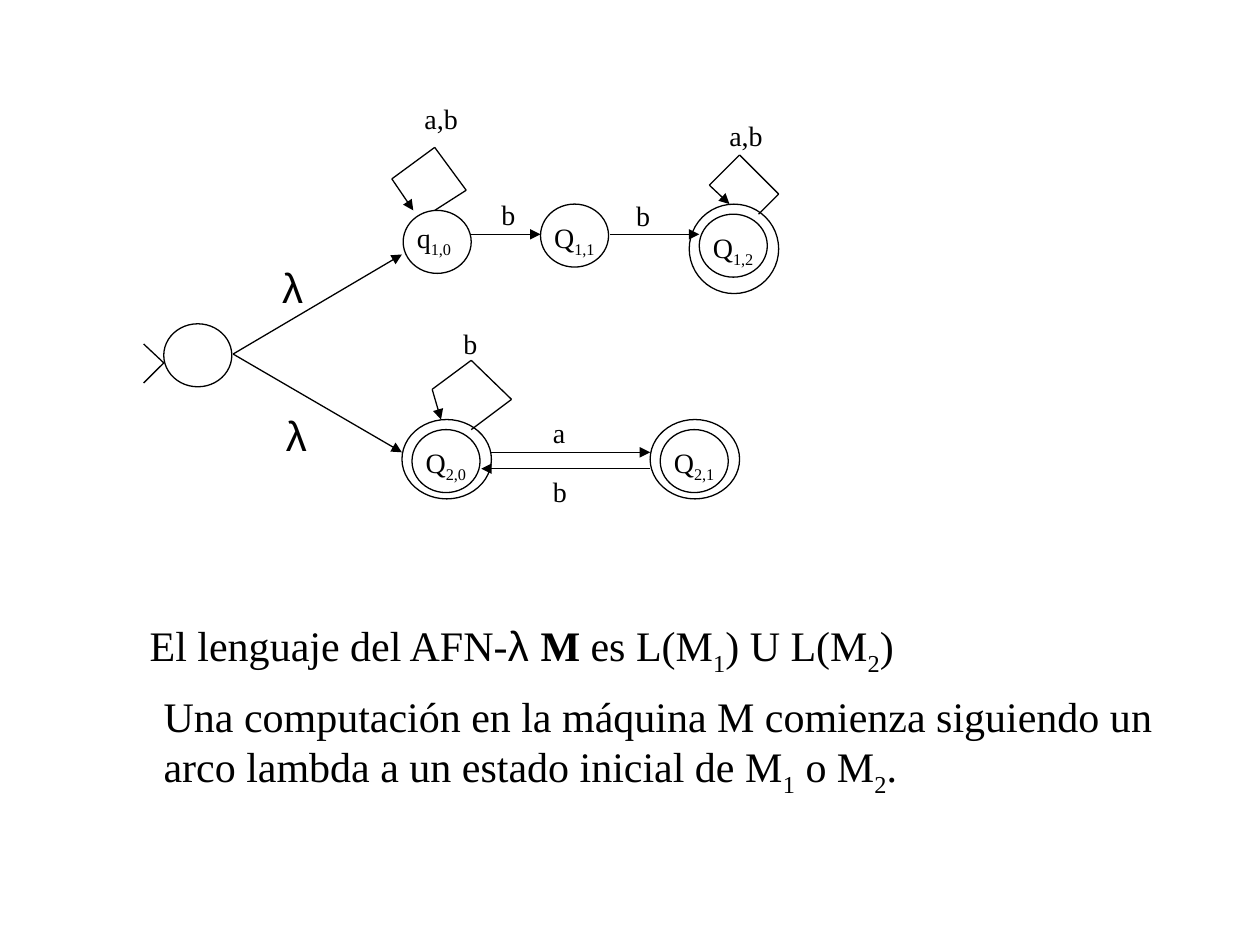
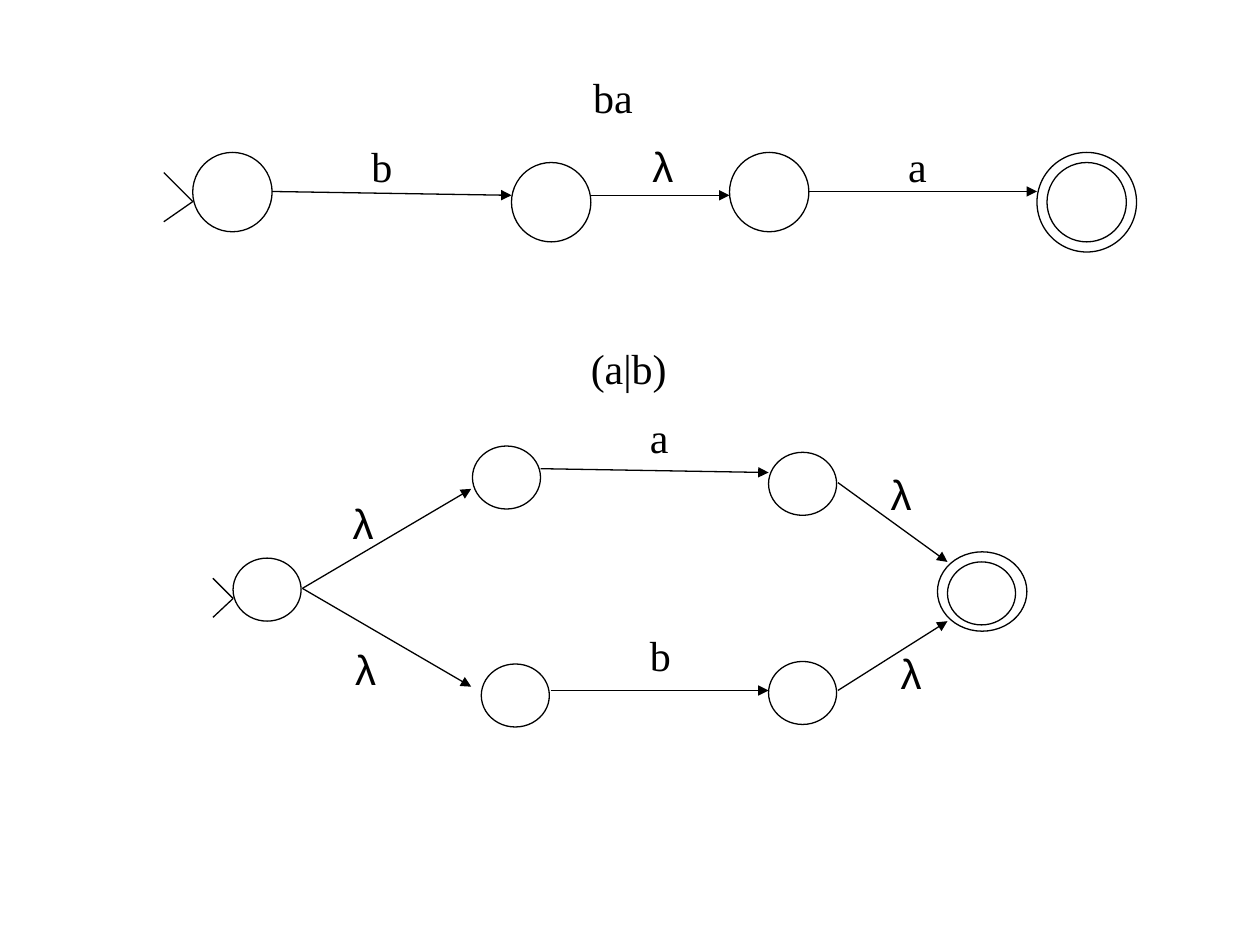
from dataclasses import dataclass
from typing import NamedTuple

from lxml import etree
from pptx import Presentation
from pptx.dml.color import RGBColor
from pptx.enum import shapes, text
from pptx.oxml.ns import qn
from pptx.slide import Slide
from pptx.util import Inches, Pt

INK = RGBColor(0x00, 0x00, 0x00)
SERIF = "Times New Roman"
SANS = "Arial"
LINE_WIDTH = Pt(0.75)
SMALL, LARGE = 16, 24
LINE_HEIGHT = {SMALL: 0.37, LARGE: 0.5}
RING_GAP = 0.08
OVAL = (0.54, 0.5)
CIRCLE = (0.63, 0.63)
OVAL_RING = (0.71, 0.63)
ROUND_RING = (0.71, 0.71)
CIRCLE_RING = (0.79, 0.79)
BLANK_LAYOUT = 6

Point = tuple[float, float]


class Run(NamedTuple):
    words: str
    font: str = SERIF
    bold: bool = False
    subscript: bool = False


@dataclass
class State:
    """An ellipse; one with a ring around it is an accepting state."""
    x: float
    y: float
    size: Point = OVAL
    ring: Point | None = None
    letter: str = ""
    index: str = ""
    name_dy: float = 0.08
    name_width: float = 0.54


@dataclass
class Edge:
    """A chain of straight lines, with an arrowhead at its end if wanted."""
    points: list[Point]
    arrow: bool = True


@dataclass
class Label:
    x: float
    y: float
    width: float
    words: str
    size: int = LARGE


def sub(index: str) -> Run:
    return Run(index, subscript=True)


def draw_text(slide: Slide, x: float, y: float, width: float, height: float,
              runs: list[Run], size: int, wrap: bool = False) -> None:
    box = slide.shapes.add_textbox(*map(Inches, (x, y, width, height)))
    frame = box.text_frame
    frame.word_wrap = wrap
    frame.auto_size = text.MSO_AUTO_SIZE.SHAPE_TO_FIT_TEXT
    paragraph = frame.paragraphs[0]
    for part in runs:
        run = paragraph.add_run()
        run.text = part.words
        style = {"name": part.font, "size": Pt(size), "bold": part.bold}
        for attribute, value in style.items():
            setattr(run.font, attribute, value)
        run.font.color.rgb = INK
        if part.subscript:
            run.font._element.set("baseline", "-25000")


def draw_ellipse(slide: Slide, x: float, y: float, size: Point) -> None:
    ellipse = slide.shapes.add_shape(shapes.MSO_SHAPE.OVAL,
                                     *map(Inches, (x, y, *size)))
    ellipse.shadow.inherit = False
    ellipse.fill.background()
    ellipse.line.color.rgb = INK
    ellipse.line.width = LINE_WIDTH


def draw_state(slide: Slide, state: State) -> None:
    draw_ellipse(slide, state.x, state.y, state.size)
    if state.ring:
        draw_ellipse(slide, state.x - RING_GAP, state.y - RING_GAP, state.ring)
    if state.letter:
        draw_text(slide, state.x + 0.01, state.y + state.name_dy,
                  state.name_width, 0.41,
                  [Run(state.letter), sub(state.index)], SMALL)


def draw_edge(slide: Slide, edge: Edge) -> None:
    for start, end in zip(edge.points, edge.points[1:]):
        line = slide.shapes.add_connector(shapes.MSO_CONNECTOR.STRAIGHT,
                                          *map(Inches, (*start, *end)))
        line.line.color.rgb = INK
        line.line.width = LINE_WIDTH
        properties = line._element.spPr
        if edge.arrow and end == edge.points[-1]:
            etree.SubElement(properties.find(qn("a:ln")), qn("a:tailEnd"),
                             type="triangle")
        etree.SubElement(properties, qn("a:effectLst"))


def draw_label(slide: Slide, label: Label) -> None:
    font = SANS if label.words == "λ" else SERIF
    draw_text(slide, label.x, label.y, label.width, LINE_HEIGHT[label.size],
              [Run(label.words, font)], label.size)


def draw_automaton(slide: Slide, states: list[State], edges: list[Edge],
                   labels: list[Label]) -> None:
    for state in states:
        draw_state(slide, state)
    for edge in edges:
        draw_edge(slide, edge)
    for label in labels:
        draw_label(slide, label)


def build_union(slide: Slide) -> None:
    """Two machines joined by lambda arcs from a new start state."""
    states = [
        State(1.3, 2.57),
        State(3.2, 1.67, letter="q", index="1,0", name_dy=0.03,
              name_width=0.49),
        State(4.29, 1.62, letter="Q", index="1,1"),
        State(5.55, 1.7, ring=ROUND_RING, letter="Q", index="1,2"),
        State(3.27, 3.41, ring=OVAL_RING, letter="Q", index="2,0"),
        State(5.24, 3.41, ring=OVAL_RING, letter="Q", index="2,1"),
    ]
    edges = [
        Edge([(1.14, 2.73), (1.3, 2.88), (1.14, 3.04)], arrow=False),
        Edge([(1.85, 2.81), (3.19, 2.02)]),
        Edge([(1.85, 2.81), (3.19, 3.59)]),
        Edge([(3.74, 1.86), (4.29, 1.86)]),
        Edge([(4.84, 1.86), (5.55, 1.86)]),
        Edge([(3.9, 3.59), (5.16, 3.59)]),
        Edge([(5.16, 3.72), (3.82, 3.72)]),
        Edge([(3.45, 1.67), (3.7, 1.51), (3.45, 1.17), (3.11, 1.42),
              (3.28, 1.67)]),
        Edge([(6.02, 1.7), (6.18, 1.54), (5.87, 1.23), (5.63, 1.47),
              (5.79, 1.62)]),
        Edge([(3.74, 3.41), (4.06, 3.17), (3.74, 2.86), (3.43, 3.09),
              (3.5, 3.33)]),
    ]
    labels = [
        Label(3.27, 0.76, 0.48, "a,b", SMALL),
        Label(5.69, 0.89, 0.48, "a,b", SMALL),
        Label(3.88, 1.52, 0.32, "b", SMALL),
        Label(4.95, 1.53, 0.32, "b", SMALL),
        Label(3.58, 2.54, 0.32, "b", SMALL),
        Label(4.29, 3.25, 0.3, "a", SMALL),
        Label(4.29, 3.72, 0.32, "b", SMALL),
        Label(2.14, 2.03, 0.38, "λ"),
        Label(2.17, 3.2, 0.38, "λ"),
    ]
    draw_automaton(slide, states, edges, labels)

    language = [Run("El lenguaje del AFN-"), Run("λ ", SANS),
                Run("M", bold=True), Run(" es L(M"), sub("1"),
                Run(") U L(M"), sub("2"), Run(")")]
    computation = [Run("Una computación en la máquina M comienza siguiendo un "
                       "arco lambda a un estado inicial de M"), sub("1"),
                   Run(" o M"), sub("2"), Run(".")]
    draw_text(slide, 1.09, 4.87, 6.23, 0.56, language, LARGE)
    draw_text(slide, 1.2, 5.43, 8.13, 0.96, computation, LARGE, wrap=True)


def build_concatenation(slide: Slide) -> None:
    states = [
        State(1.53, 1.21, CIRCLE),
        State(4.06, 1.29, CIRCLE),
        State(5.79, 1.21, CIRCLE),
        State(8.31, 1.29, CIRCLE, CIRCLE_RING),
    ]
    edges = [
        Edge([(1.3, 1.37), (1.53, 1.6), (1.3, 1.76)], arrow=False),
        Edge([(2.16, 1.52), (4.06, 1.55)]),
        Edge([(4.69, 1.55), (5.79, 1.55)]),
        Edge([(6.42, 1.52), (8.23, 1.52)]),
    ]
    labels = [
        Label(4.61, 0.52, 0.53, "ba"),
        Label(2.85, 1.07, 0.37, "b"),
        Label(5.08, 1.07, 0.38, "λ"),
        Label(7.11, 1.07, 0.35, "a"),
    ]
    draw_automaton(slide, states, edges, labels)


def build_alternation(slide: Slide) -> None:
    states = [
        State(1.85, 4.43),
        State(3.75, 3.54),
        State(6.1, 3.59),
        State(3.82, 5.27),
        State(6.1, 5.25),
        State(7.52, 4.46, ring=OVAL_RING),
    ]
    edges = [
        Edge([(1.69, 4.59), (1.85, 4.75), (1.69, 4.9)], arrow=False),
        Edge([(2.4, 4.67), (3.74, 3.88)]),
        Edge([(2.4, 4.67), (3.74, 5.45)]),
        Edge([(4.29, 3.72), (6.1, 3.75)]),
        Edge([(4.37, 5.48), (6.1, 5.48)]),
        Edge([(6.65, 3.83), (7.52, 4.46)]),
        Edge([(6.65, 5.48), (7.52, 4.93)]),
    ]
    labels = [
        Label(4.59, 2.67, 0.82, "(a|b)"),
        Label(2.7, 3.9, 0.38, "λ"),
        Label(2.72, 5.06, 0.38, "λ"),
        Label(5.06, 3.22, 0.35, "a"),
        Label(5.06, 4.95, 0.37, "b"),
        Label(6.97, 3.67, 0.38, "λ"),
        Label(7.05, 5.09, 0.38, "λ"),
    ]
    draw_automaton(slide, states, edges, labels)


def main() -> None:
    deck = Presentation()
    deck.slide_width = Inches(10)
    deck.slide_height = Inches(7.5)
    blank = deck.slide_layouts[BLANK_LAYOUT]
    build_union(deck.slides.add_slide(blank))
    expressions = deck.slides.add_slide(blank)
    build_concatenation(expressions)
    build_alternation(expressions)
    deck.save("out.pptx")


if __name__ == "__main__":
    main()
